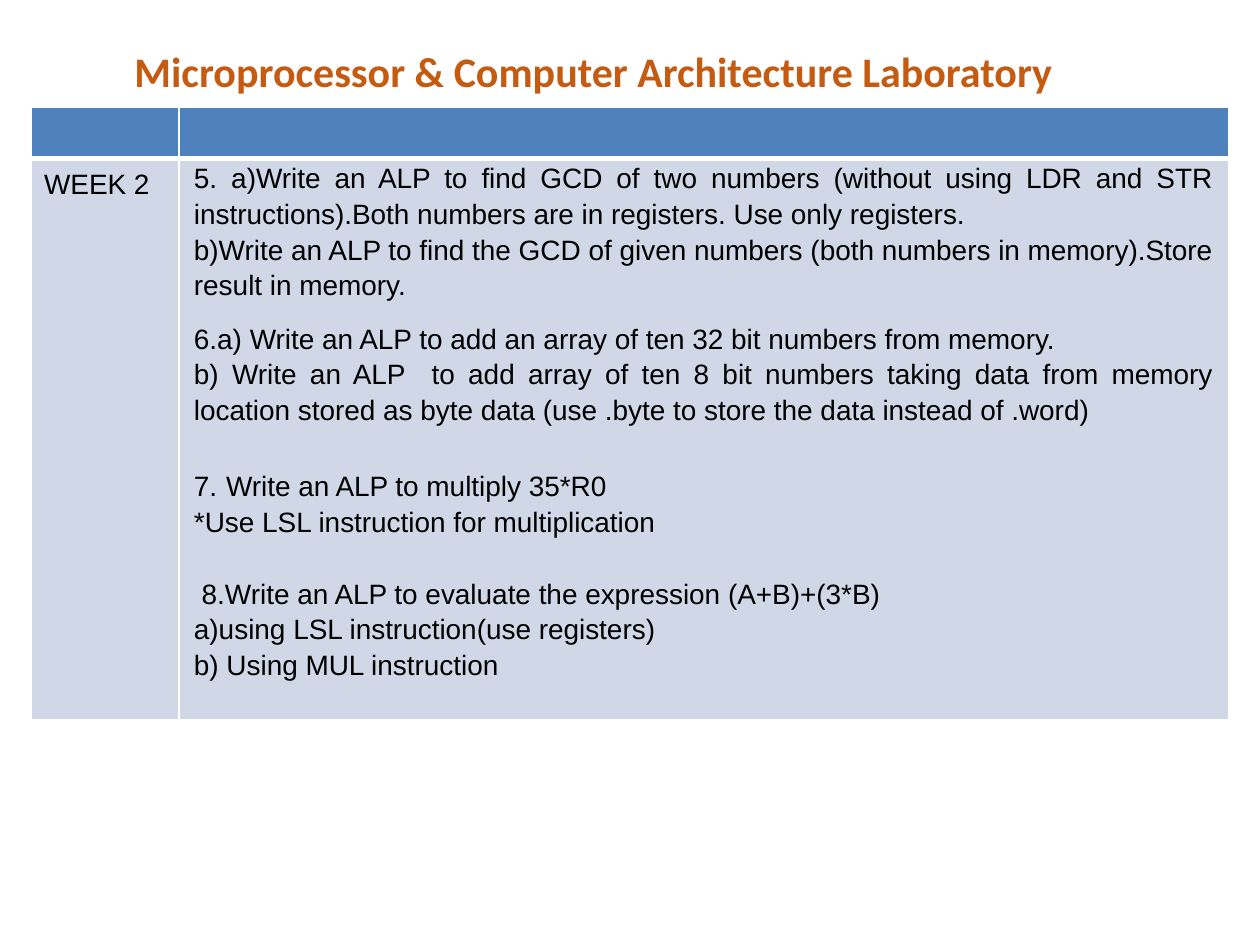
import pptx
import pptx.util
import pptx.dml.color
import pptx.enum.text
import pptx.oxml
import pptx.oxml.ns

Inches, Pt = pptx.util.Inches, pptx.util.Pt
ALIGN = pptx.enum.text.PP_ALIGN
ANCHOR = pptx.enum.text.MSO_ANCHOR

COLORS = {"title": "C55A11", "header": "4F81BD", "body": "D0D8E8",
          "text": "000000", "border": "FFFFFF"}

TITLE = "Microprocessor & Computer Architecture Laboratory"
WEEK = "WEEK 2"
BLANK_LINE = 20.4  # points between groups of exercises
# Each paragraph: its runs as (text, size), then the space after it in points
EXERCISES = [
    ([("5. a)Write an ALP to find GCD of two numbers (without using LDR and STR "
       "instructions).Both numbers are in registers. Use only registers.", 16)], 0),
    ([("b)Write an ALP to find the GCD of given numbers (both numbers in "
       "memory).Store result in memory.", 16)], 10),
    ([("6.a) Write an ALP to add an array of ten 32 bit numbers from memory.", 16)], 0),
    ([("b) Write an ALP  to add array of ten 8 bit numbers taking data from memory "
       "location stored as byte data (use .byte to store the data instead of .word)",
       16)], BLANK_LINE),
    ([("7.", 16), (" ", 18), ("Write an ALP to multiply 35*R0", 16)], 0),
    ([("*Use LSL instruction for multiplication", 16)], BLANK_LINE),
    ([(" 8.Write an ALP to evaluate the expression (A+B)+(3*B)", 16)], 0),
    ([("a)using LSL instruction(use registers)", 16)], 0),
    ([("b) Using MUL instruction", 16)], 0),
]
COLUMN_WIDTHS = [1.17, 8.33]
ROW_HEIGHTS = [0.41, 4.45]


def rgb(name):
    return pptx.dml.color.RGBColor.from_string(COLORS[name])


def write_text(frame, paragraphs, font="Arial", color="text", bold=False,
               align=ALIGN.JUSTIFY, line_spacing=1.15):
    frame.word_wrap = True
    for index, (runs, space_after) in enumerate(paragraphs):
        para = frame.add_paragraph() if index else frame.paragraphs[0]
        para.alignment = align
        para.line_spacing = line_spacing
        para.space_after = Pt(space_after)
        for text, size in runs:
            span = para.add_run()
            span.text = text
            span.font.name = font
            span.font.size = Pt(size)
            span.font.bold = bold
            span.font.color.rgb = rgb(color)


def style_cell(cell, fill, bottom_width):
    """Set the borders, then the fill, as the schema orders them."""
    properties = cell._tc.get_or_add_tcPr()
    for side, width in (("L", 1), ("R", 1), ("T", 1), ("B", bottom_width)):
        properties.append(pptx.oxml.parse_xml(
            f'<a:ln{side} {pptx.oxml.ns.nsdecls("a")} w="{Pt(width)}"><a:solidFill>'
            f'<a:srgbClr val="{COLORS["border"]}"/></a:solidFill></a:ln{side}>'))
    cell.fill.solid()
    cell.fill.fore_color.rgb = rgb(fill)


def add_title(page):
    box = page.shapes.add_textbox(Inches(0.25), Inches(0.31), Inches(8.92), Inches(0.5))
    box.text_frame.vertical_anchor = ANCHOR.MIDDLE
    write_text(box.text_frame, [([(TITLE, 24)], 0)], font="Calibri", color="title",
               bold=True, align=ALIGN.CENTER, line_spacing=1.0)


def add_exercise_table(page):
    table = page.shapes.add_table(
        len(ROW_HEIGHTS), len(COLUMN_WIDTHS), Inches(0.25), Inches(0.85),
        Inches(sum(COLUMN_WIDTHS)), Inches(sum(ROW_HEIGHTS))).table
    table.horz_banding = False
    for column, width in zip(table.columns, COLUMN_WIDTHS):
        column.width = Inches(width)
    for row, height, fill, bottom_width in zip(
            table.rows, ROW_HEIGHTS, ("header", "body"), (3, 1)):
        row.height = Inches(height)
        for cell in row.cells:
            style_cell(cell, fill, bottom_width)

    week_cell, exercise_cell = table.rows[1].cells
    write_text(week_cell.text_frame, [([(WEEK, 16)], 0)])
    exercise_cell.margin_left = exercise_cell.margin_right = Inches(0.12)
    exercise_cell.margin_top = exercise_cell.margin_bottom = 0
    write_text(exercise_cell.text_frame, EXERCISES)


def main():
    deck = pptx.Presentation()
    deck.slide_width, deck.slide_height = Inches(10), Inches(7.5)
    page = deck.slides.add_slide(deck.slide_layouts[6])
    add_title(page)
    add_exercise_table(page)
    deck.save("out.pptx")


if __name__ == "__main__":
    main()
